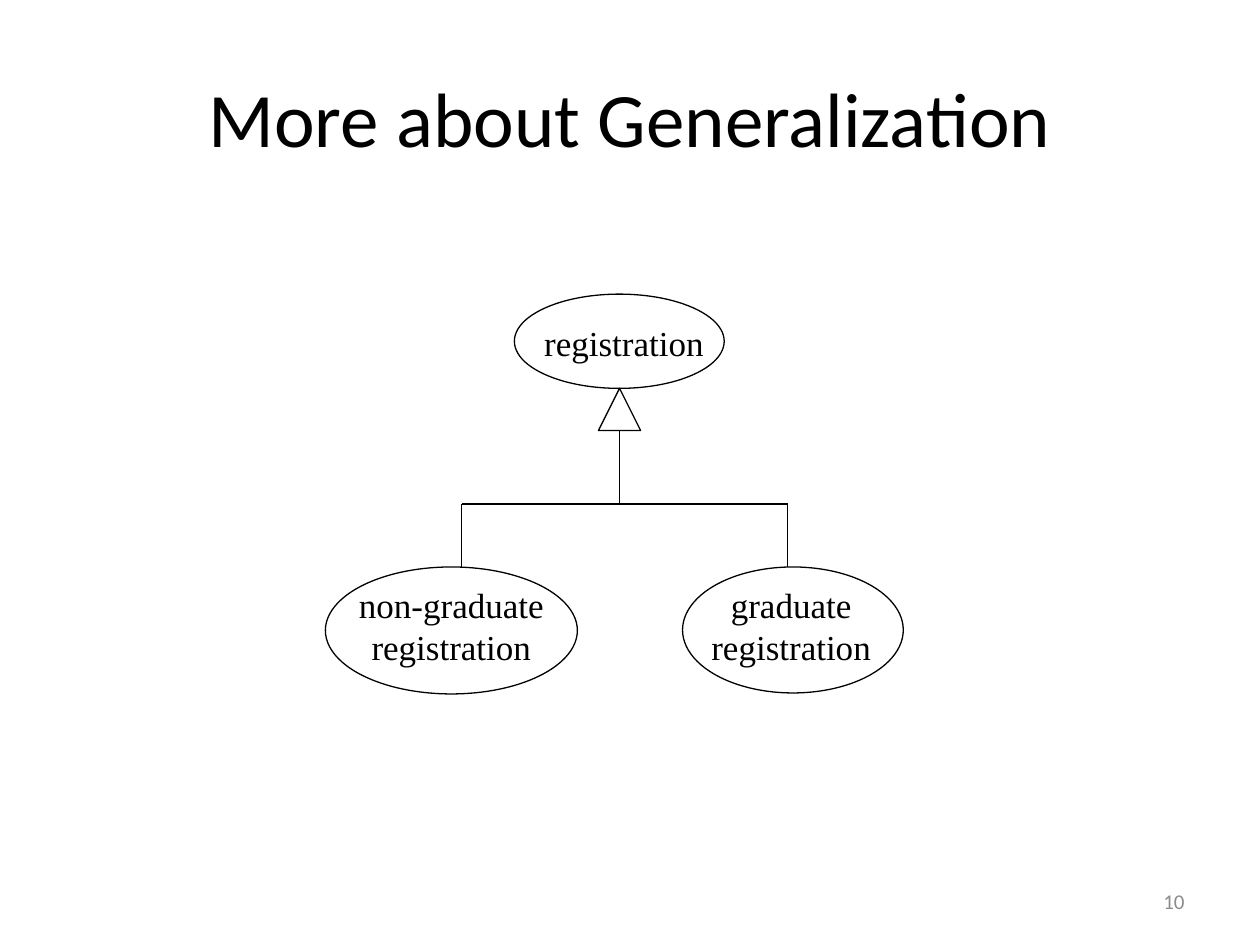
from dataclasses import dataclass

from lxml import etree
from pptx import Presentation
from pptx.dml.color import RGBColor
from pptx.enum import shapes, text
from pptx.oxml.ns import qn
from pptx.util import Cm, Pt

COLORS = {"ink": "000000", "page": "8C8C8C"}
SERIF, SANS = "Times New Roman", "Calibri"
LEFT, CENTER, RIGHT = text.PP_ALIGN.LEFT, text.PP_ALIGN.CENTER, text.PP_ALIGN.RIGHT
Box = tuple[float, float, float, float]


@dataclass
class Case:
    label: str
    oval: Box
    area: Box
    align: text.PP_ALIGN = CENTER


CASES = [
    Case("registration", (10.37, 5.93, 4.23, 1.9), (10.72, 6.35, 3.89, 1.09), LEFT),
    Case("graduate\nregistration", (13.76, 11.43, 4.45, 2.54), (13.92, 11.63, 4.06, 1.96)),
    Case("non-graduate\nregistration", (6.56, 11.43, 5.08, 2.56), (6.77, 11.63, 4.66, 1.96)),
]

# Branch positions in centimetres
TRUNK, WEST, EAST = 12.49, 9.31, 15.88
TIP, BASE, BAR, FOOT = 7.83, 8.68, 10.16, 11.43
LINKS = [
    (WEST, BAR, WEST, FOOT),
    (EAST, BAR, EAST, FOOT),
    (WEST, BAR, EAST, BAR),
    (TRUNK, BASE, TRUNK, BAR),
]


def style(frame, words: str, size: int, font: str, color: str, align) -> None:
    frame.text = words
    frame.word_wrap = True
    for para in frame.paragraphs:
        para.alignment = align
        for run in para.runs:
            run.font.size = Pt(size)
            run.font.name = font
            run.font.color.rgb = RGBColor.from_string(COLORS[color])


def ink(line) -> None:
    line.color.rgb = RGBColor.from_string(COLORS["ink"])
    line.width = Pt(0.75)


def outline(slide, kind, box: Box) -> None:
    shape = slide.shapes.add_shape(kind, *map(Cm, box))
    shape.shadow.inherit = False
    shape.fill.background()
    ink(shape.line)


def link(slide, ends: Box) -> None:
    line = slide.shapes.add_connector(shapes.MSO_CONNECTOR.STRAIGHT, *map(Cm, ends))
    ink(line.line)
    etree.SubElement(line._element.spPr, qn("a:effectLst"))


def draw(slide, case: Case) -> None:
    outline(slide, shapes.MSO_SHAPE.OVAL, case.oval)
    label = slide.shapes.add_textbox(*map(Cm, case.area))
    style(label.text_frame, case.label, 20, SERIF, "ink", case.align)


def main() -> None:
    deck = Presentation()
    deck.slide_width, deck.slide_height = Cm(25.4), Cm(19.05)
    slide = deck.slides.add_slide(deck.slide_layouts[5])

    # Title
    title = slide.shapes.title
    title.left, title.top, title.width, title.height = map(Cm, (1.27, 0.76, 22.86, 3.18))
    style(title.text_frame, "More about Generalization", 44, SANS, "ink", CENTER)
    title.text_frame.vertical_anchor = text.MSO_ANCHOR.MIDDLE

    # Use cases and the generalization tree
    for case in CASES:
        draw(slide, case)
    side = BASE - TIP
    outline(slide, shapes.MSO_SHAPE.ISOSCELES_TRIANGLE, (TRUNK - side / 2, TIP, side, side))
    for ends in LINKS:
        link(slide, ends)

    # Page number
    page = slide.shapes.add_textbox(*map(Cm, (18.21, 17.65, 5.92, 1.02)))
    style(page.text_frame, "10", 12, SANS, "page", RIGHT)
    page.text_frame.vertical_anchor = text.MSO_ANCHOR.MIDDLE

    deck.save("out.pptx")


if __name__ == "__main__":
    main()
